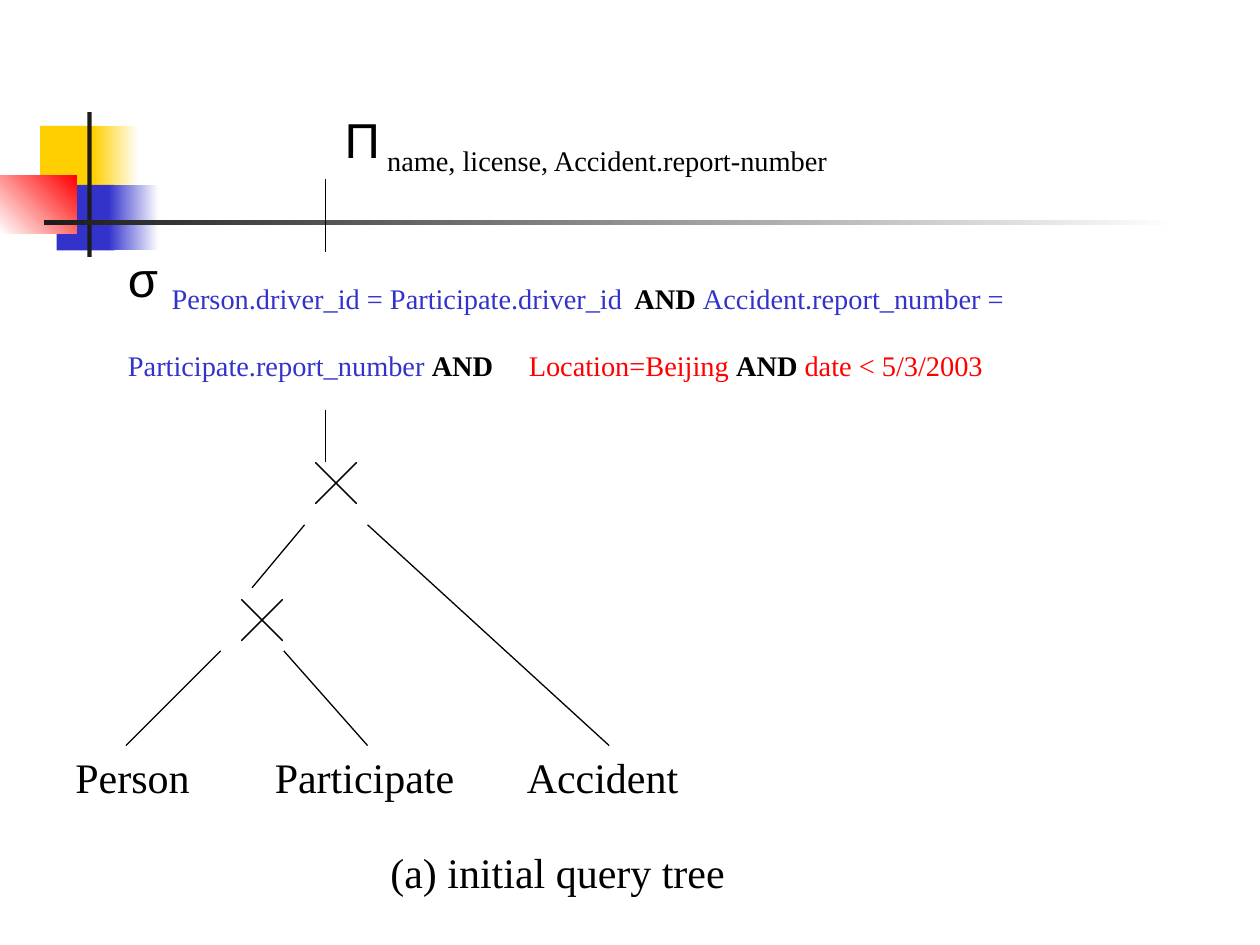
from dataclasses import dataclass

from lxml import etree
from pptx import Presentation
from pptx.dml.color import RGBColor
from pptx.enum import shapes, text
from pptx.oxml.ns import qn
from pptx.util import Cm, Pt


@dataclass(frozen=True)
class Theme:
    black: str = "000000"
    white: str = "FFFFFF"
    dark: str = "1C1C1C"
    yellow: str = "FFCF01"
    blue: str = "3333CC"
    red: str = "FF0000"
    serif: str = "Times New Roman"
    sans: str = "Arial"
    cjk: str = "Noto Sans CJK SC"
    operator: int = 28
    label: int = 24
    branch: float = 0.75


THEME = Theme()

# Left, top, width, height in cm; gradient start, end (None if solid), angle
DECORATION = [
    (0.81, 2.54, 1.22, 1.32, THEME.yellow, None, 0),
    (1.88, 2.54, 0.91, 1.32, THEME.yellow, THEME.white, 0),
    (1.14, 3.73, 1.17, 1.32, THEME.blue, None, 0),
    (2.18, 3.73, 1.02, 1.32, THEME.blue, THEME.white, 0),
    (0, 3.53, 1.55, 1.17, THEME.white, THEME.red, 45),
    (1.76, 2.26, 0.09, 2.92, THEME.dark, None, 0),
    (0.89, 4.44, 22.86, 0.09, THEME.dark, THEME.white, 0),
]

# Operator symbol, then its subscript as (words, colour, bold)
PROJECTION = ("Π", [(" name, license, Accident.report-number", THEME.black, False)])
SELECTION = ("σ ", [
    ("Person.driver_id = Participate.driver_id\t", THEME.blue, False),
    ("AND ", THEME.black, True),
    ("Accident.report_number = Participate.report_number ", THEME.blue, False),
    ("AND\t", THEME.black, True),
    ("Location=Beijing ", THEME.red, False),
    ("AND", THEME.black, True),
    (" date < 5/3/2003", THEME.red, False),
])
SELECTION_TABS = (8.08, 10.21)

# Words, left, top, width in cm, font
LABELS = [
    ("╳", 6.11, 9.1, 1.02, THEME.cjk),
    ("╳", 4.62, 11.85, 1.02, THEME.cjk),
    ("Person", 1.27, 15.03, 3.02, THEME.serif),
    ("Participate", 5.29, 15.03, 4.3, THEME.serif),
    ("Accident", 10.37, 15.03, 3.8, THEME.serif),
    ("(a) initial query tree", 7.62, 16.93, 7.6, THEME.serif),
]
LABEL_HEIGHT = 1.27

# Start and end of each branch in cm
BRANCHES = [
    ((6.56, 3.6), (6.56, 5.08)),
    ((6.56, 8.26), (6.56, 9.31)),
    ((6.14, 10.58), (5.08, 11.85)),
    ((7.41, 10.58), (12.28, 15.03)),
    ((4.45, 13.12), (2.54, 15.03)),
    ((5.72, 13.12), (7.41, 15.03)),
]


def rgb(value):
    return RGBColor.from_string(value)


def add_block(page, left, top, width, height, start, end, angle):
    block = page.shapes.add_shape(shapes.MSO_SHAPE.RECTANGLE,
                                  Cm(left), Cm(top), Cm(width), Cm(height))
    block.shadow.inherit = False
    block.line.fill.background()
    if end is None:
        block.fill.solid()
        block.fill.fore_color.rgb = rgb(start)
        return
    block.fill.gradient()
    block.fill.gradient_angle = angle
    for stop, colour in zip(block.fill.gradient_stops, (start, end)):
        stop.color.rgb = rgb(colour)


def add_paragraph_box(page, left, top, width, height, wrap=False):
    """Add a text box and return its first paragraph."""
    box = page.shapes.add_textbox(Cm(left), Cm(top), Cm(width), Cm(height))
    box.text_frame.word_wrap = wrap
    box.text_frame.auto_size = text.MSO_AUTO_SIZE.SHAPE_TO_FIT_TEXT
    return box.text_frame.paragraphs[0]


def add_span(para, words, font, size, colour=THEME.black, bold=False):
    span = para.add_run()
    span.text = words
    span.font.name = font
    span.font.size = Pt(size)
    span.font.bold = bold
    span.font.color.rgb = rgb(colour)
    return span


def add_operator(para, symbol, subscript):
    add_span(para, symbol, THEME.sans, THEME.operator)
    for words, colour, bold in subscript:
        span = add_span(para, words, THEME.serif, THEME.operator, colour, bold)
        span.font._element.set("baseline", "-25000")


def add_tabs(para, stops):
    tabs = etree.SubElement(para._p.get_or_add_pPr(), qn("a:tabLst"))
    for stop in stops:
        etree.SubElement(tabs, qn("a:tab"), pos=str(Cm(stop)), algn="l")


def add_label(page, words, left, top, width, font):
    para = add_paragraph_box(page, left, top, width, LABEL_HEIGHT)
    span = add_span(para, words, font, THEME.label)
    if font == THEME.cjk:
        latin = span.font._element.find(qn("a:latin"))
        latin.addnext(latin.makeelement(qn("a:ea"), {"typeface": font}))


def add_branch(page, start, end):
    branch = page.shapes.add_connector(shapes.MSO_CONNECTOR.STRAIGHT,
                                       *map(Cm, start + end))
    branch.line.color.rgb = rgb(THEME.black)
    branch.line.width = Pt(THEME.branch)
    etree.SubElement(branch._element.spPr, qn("a:effectLst"))


def main():
    deck = Presentation()
    deck.slide_width, deck.slide_height = Cm(25.4), Cm(19.05)
    page = deck.slides.add_slide(deck.slide_layouts[6])

    for block in DECORATION:
        add_block(page, *block)

    projection = add_paragraph_box(page, 6.7, 2.11, 10.8, 1.47)
    projection.line_spacing = 0.9
    add_operator(projection, *PROJECTION)

    selection = add_paragraph_box(page, 2.33, 4.88, 19.74, 2.95, wrap=True)
    add_tabs(selection, SELECTION_TABS)
    add_operator(selection, *SELECTION)

    for label in LABELS:
        add_label(page, *label)
    for start, end in BRANCHES:
        add_branch(page, start, end)

    deck.save("out.pptx")


if __name__ == "__main__":
    main()
